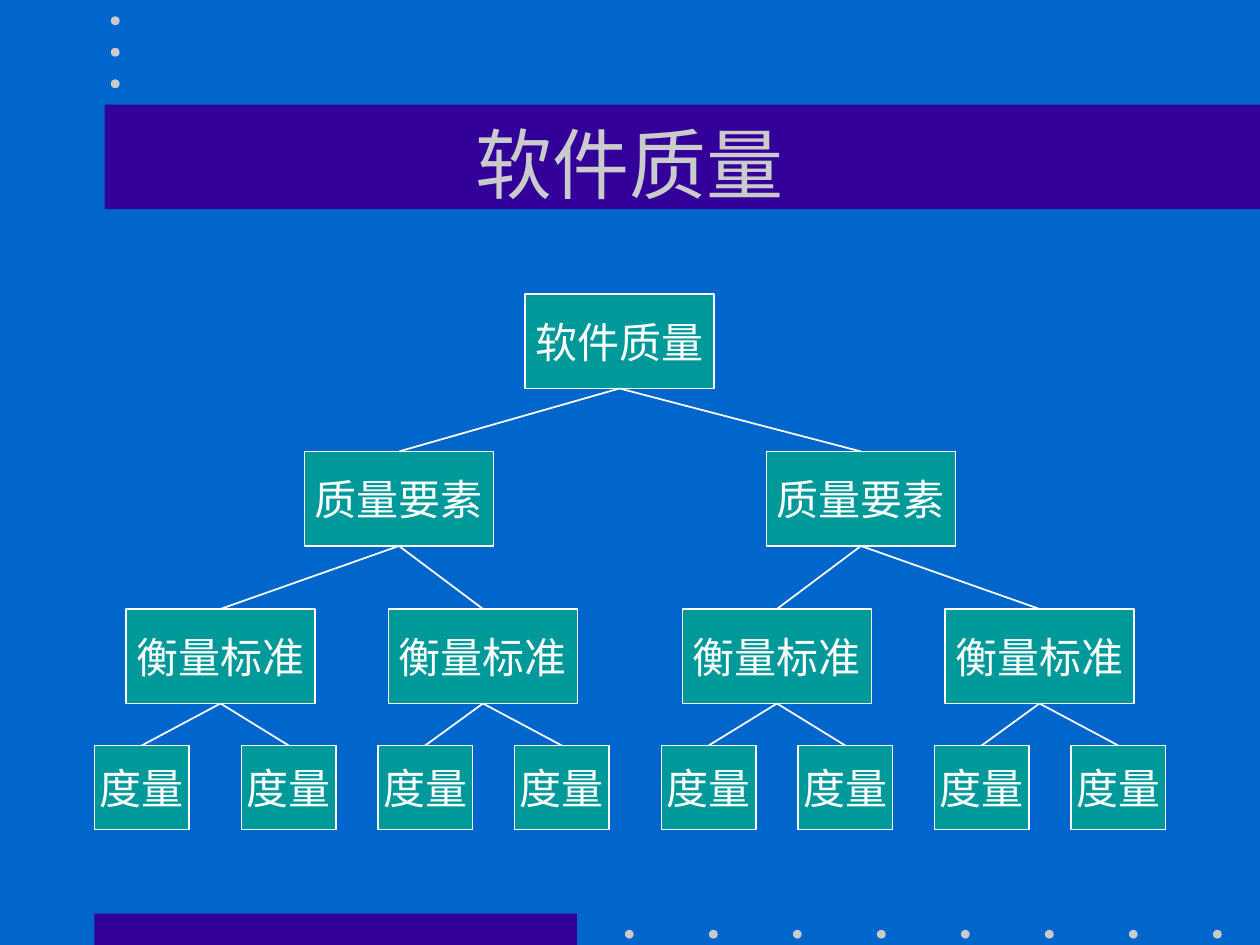
from lxml.etree import SubElement
from pptx import Presentation
from pptx.dml.color import RGBColor
from pptx.enum.shapes import MSO_CONNECTOR, MSO_SHAPE
from pptx.enum.text import MSO_ANCHOR, MSO_AUTO_SIZE, PP_ALIGN
from pptx.oxml.ns import qn
from pptx.util import Inches, Pt

BLUE = RGBColor(0x00, 0x66, 0xCC)
PURPLE = RGBColor(0x33, 0x00, 0x99)
TEAL = RGBColor(0x00, 0x99, 0x99)
GREY = RGBColor(0xCB, 0xCB, 0xCB)
WHITE = RGBColor(0xFF, 0xFF, 0xFF)
FONT = "Times New Roman"

TITLE = "软件质量"
# Each level: label, top, box width, box height, left edges; in grid units.
LEVELS = [
    ("软件质量", 28, 18, 9, [50]),
    ("质量要素", 43, 18, 9, [29, 73]),
    ("衡量标准", 58, 18, 9, [12, 37, 65, 90]),
    ("度量", 71, 9, 8, [9, 23, 36, 49, 63, 76, 89, 102]),
]
UNIT = Inches(1) / 12

BANDS = [(0.75, 7.25, 3.83, 0.25), (0.83, 0.83, 9.17, 0.83)]
DOT = 0.07
DOTS = ([(4.96 + i * 2 / 3, 7.38) for i in range(8)]
        + [(0.88, 0.13 + i * 0.25) for i in range(3)])


def grid(*units):
    return [round(unit * UNIT) for unit in units]


def write(shape, text, *, size, color, wrap):
    frame = shape.text_frame
    frame.text = text
    frame.word_wrap = wrap
    frame.auto_size = MSO_AUTO_SIZE.NONE
    frame.vertical_anchor = MSO_ANCHOR.MIDDLE
    paragraph = frame.paragraphs[0]
    paragraph.alignment = PP_ALIGN.CENTER
    font = paragraph.runs[0].font
    font.name, font.size, font.color.rgb = FONT, Pt(size), color


def add_filled(slide, kind, place, fill, line=None):
    shape = slide.shapes.add_shape(kind, *place)
    shape.shadow.inherit = False
    shape.fill.solid()
    shape.fill.fore_color.rgb = fill
    if line is None:
        shape.line.fill.background()
    else:
        shape.line.color.rgb = line
        shape.line.width = Pt(1)
    return shape


def add_branch(slide, parent, child):
    """Join the bottom of the parent box to the top of the child box."""
    branch = slide.shapes.add_connector(MSO_CONNECTOR.STRAIGHT, 0, 0, 0, 0)
    branch.begin_connect(parent, 2)
    branch.end_connect(child, 0)
    branch.line.color.rgb = WHITE
    branch.line.width = Pt(1)
    SubElement(branch._element.spPr, qn("a:effectLst"))


def add_decoration(slide):
    for band in BANDS:
        add_filled(slide, MSO_SHAPE.RECTANGLE, map(Inches, band), PURPLE)
    for left, top in DOTS:
        add_filled(slide, MSO_SHAPE.OVAL,
                   map(Inches, (left, top, DOT, DOT)), GREY)


def add_title(slide):
    title = slide.shapes.title
    title.left, title.top, title.width, title.height = grid(9, 8, 102, 15)
    write(title, TITLE, size=44, color=GREY, wrap=True)
    # Bring the title in front of its band.
    slide.shapes._spTree.append(title._element)


def add_tree(slide):
    rows = []
    for label, top, width, height, lefts in LEVELS:
        row = []
        for left in lefts:
            box = add_filled(slide, MSO_SHAPE.RECTANGLE,
                             grid(left, top, width, height), TEAL, WHITE)
            write(box, label, size=24, color=WHITE, wrap=False)
            row.append(box)
        rows.append(row)
    for parents, children in zip(rows, rows[1:]):
        for i, child in enumerate(children):
            add_branch(slide, parents[i // 2], child)


def main():
    deck = Presentation()
    deck.slide_width, deck.slide_height = Inches(10), Inches(7.5)
    slide = deck.slides.add_slide(deck.slide_layouts[5])
    slide.background.fill.solid()
    slide.background.fill.fore_color.rgb = BLUE
    add_decoration(slide)
    add_title(slide)
    add_tree(slide)
    deck.save("out.pptx")


if __name__ == "__main__":
    main()
